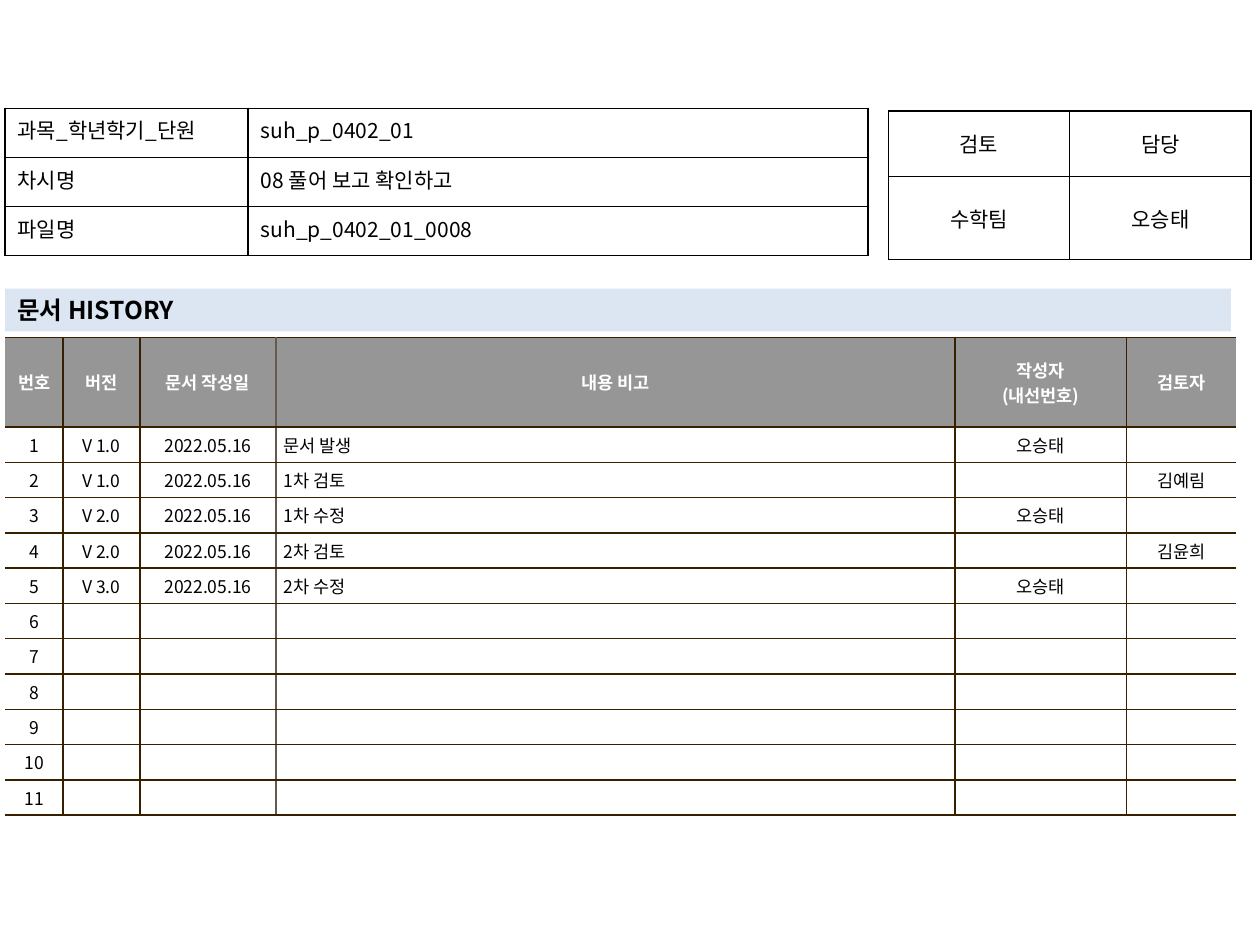
from lxml import etree
from pptx import Presentation
from pptx.dml.color import RGBColor
from pptx.enum.shapes import MSO_SHAPE
from pptx.enum.text import MSO_ANCHOR, PP_ALIGN
from pptx.oxml.ns import qn
from pptx.util import Inches, Pt

LEFT, CENTER, JUSTIFY = PP_ALIGN.LEFT, PP_ALIGN.CENTER, PP_ALIGN.JUSTIFY
TOP, MIDDLE = MSO_ANCHOR.TOP, MSO_ANCHOR.MIDDLE
FONT = "Noto Sans CJK KR"
BLACK, WHITE, GREY, BROWN, TAUPE, PALE = (
    "000000", "FFFFFF", "969696", "362000", "645B4C", "DCE6F2")


def style_paragraph(paragraph, align, size, color, bold=False):
    paragraph.alignment = align
    for run in paragraph.runs:
        for name, value in {"name": FONT, "size": Pt(size), "bold": bold}.items():
            setattr(run.font, name, value)
        run.font.color.rgb = RGBColor.from_string(color)
        etree.SubElement(run.font._element, qn("a:ea"), typeface=FONT)
    if not paragraph.runs:  # keeps empty cells as low as filled ones
        etree.SubElement(paragraph._p, qn("a:endParaRPr"), sz=str(size * 100))


def style_cell(cell, text, borders, margins, anchor, fill=None):
    """Borders are colours in the order left, right, top, bottom; None is no line."""
    cell.text = text
    cell.vertical_anchor = anchor
    cell.margin_left = cell.margin_right = Inches(margins[0])
    cell.margin_top = cell.margin_bottom = Inches(margins[1])
    properties = cell._tc.get_or_add_tcPr()
    for side, color in zip("LRTB", borders):
        line = etree.SubElement(properties, qn("a:ln" + side), w=str(Pt(1)))
        if color:
            solid = etree.SubElement(line, qn("a:solidFill"))
            etree.SubElement(solid, qn("a:srgbClr"), val=color)
        else:
            etree.SubElement(line, qn("a:noFill"))
    if fill:
        cell.fill.solid()
        cell.fill.fore_color.rgb = RGBColor.from_string(fill)
    else:
        cell.fill.background()


prs = Presentation()
prs.slide_width, prs.slide_height = Inches(10), Inches(7.5)
slide = prs.slides.add_slide(prs.slide_layouts[6])
margin_left = 0.04

# Contents of the three tables
history = [
    ["번호", "버전", "문서 작성일", "내용 비고", "작성자\n(내선번호)", "검토자"],
    ["1", "V 1.0", "2022.05.16", "문서 발생", "오승태", ""],
    ["2", "V 1.0", "2022.05.16", "1차 검토", "", "김예림"],
    ["3", "V 2.0", "2022.05.16", "1차 수정", "오승태", ""],
    ["4", "V 2.0", "2022.05.16", "2차 검토", "", "김윤희"],
    ["5", "V 3.0", "2022.05.16", "2차 수정", "오승태", ""],
] + [[str(number)] + [""] * 5 for number in range(6, 12)]
approval = [["검토", "담당"], ["수학팀", "오승태"]]
lesson = [
    ["과목_학년학기_단원", "suh_p_0402_01"],
    ["차시명", "08 풀어 보고 확인하고"],
    ["파일명", "suh_p_0402_01_0008"],
]

# Grids: contents, left, top, column widths, row heights
grids = [
    (history, margin_left, 2.68, [0.46, 0.61, 1.08, 5.39, 1.36, 0.87],
     [0.71] + [0.25] * 11),
    (approval, 7.05, 0.88, [1.44] * 2, [0.52, 0.66]),
    (lesson, margin_left, 0.86, [1.93, 4.92], [0.39] * 3),
]
for rows, left, top, widths, heights in grids:
    table = slide.shapes.add_table(
        len(heights), len(widths), Inches(left), Inches(top),
        Inches(sum(widths)), Inches(sum(heights))).table
    table.first_row = table.horz_banding = False
    for column, width in zip(table.columns, widths):
        column.width = Inches(width)
    for row, height in zip(table.rows, heights):
        row.height = Inches(height)

    for r, texts in enumerate(rows):
        for c, text in enumerate(texts):
            cell = table.cell(r, c)
            if rows is history:
                # Open sides, and a lighter rule between date and remarks
                verticals = [None, BROWN, BROWN, TAUPE, BROWN, BROWN, None]
                borders = [verticals[c], verticals[c + 1], BROWN, BROWN]
                header, remark = r == 0, c == 3 and r > 0
                style_cell(cell, text, borders, (0.06, 0.04), MIDDLE,
                           GREY if header else WHITE)
                look = (LEFT if remark else CENTER, 10,
                        WHITE if header else BLACK, header)
                if remark:
                    indent = Inches(0.19)
                    paragraph_format = cell.text_frame.paragraphs[0]._p.get_or_add_pPr()
                    paragraph_format.set("marL", str(indent))
                    paragraph_format.set("indent", str(-indent))
            else:
                style_cell(cell, text, [BLACK] * 4, (0.1, 0.05),
                           MIDDLE if rows is approval else TOP)
                look = (CENTER if rows is approval else (JUSTIFY, LEFT)[c],
                        12, BLACK)
            for paragraph in cell.text_frame.paragraphs:
                style_paragraph(paragraph, *look)

# Heading band above the history
band = slide.shapes.add_shape(MSO_SHAPE.RECTANGLE, Inches(margin_left),
                              Inches(2.29), Inches(9.73), Inches(0.34))
band.shadow.inherit = False
band.fill.solid()
band.fill.fore_color.rgb = RGBColor.from_string(PALE)
band.line.fill.background()
heading = band.text_frame
heading.word_wrap = True
heading.vertical_anchor = MIDDLE
heading.text = "문서 HISTORY"
style_paragraph(heading.paragraphs[0], LEFT, 14, BLACK, True)

prs.save("out.pptx")
